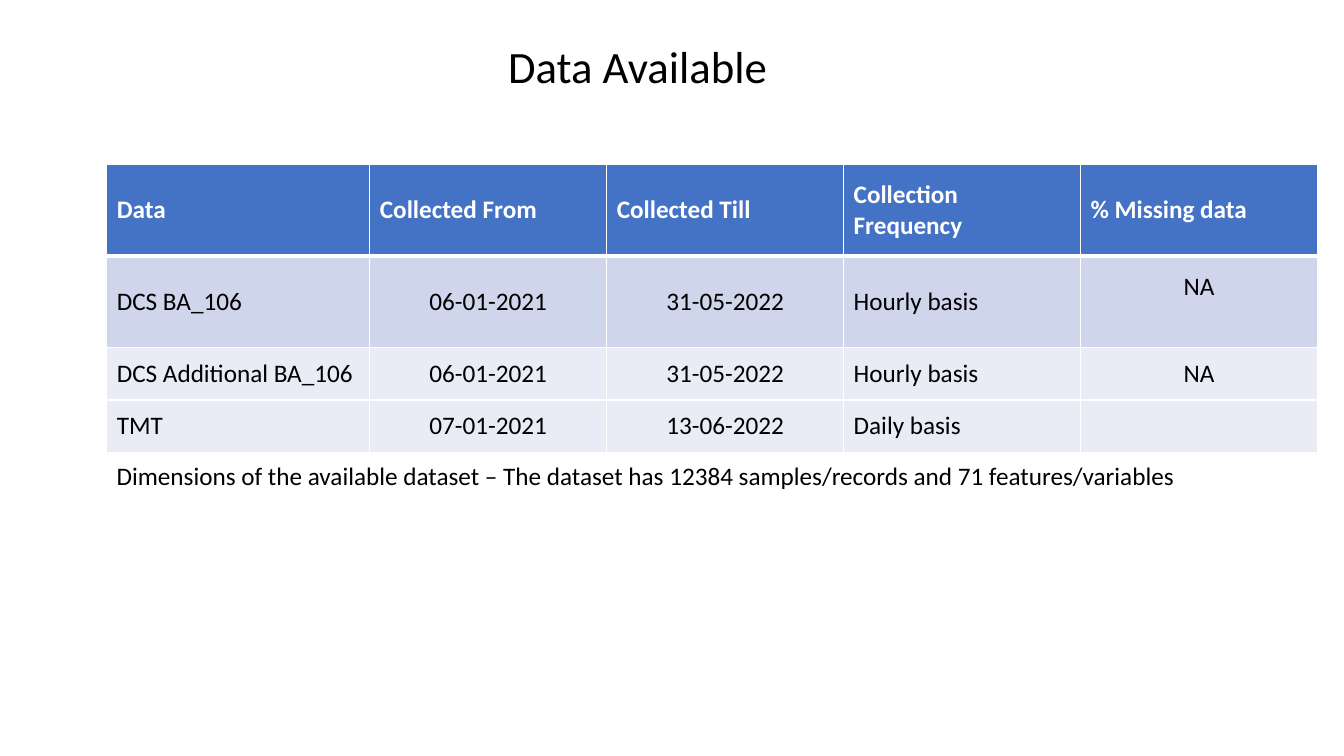
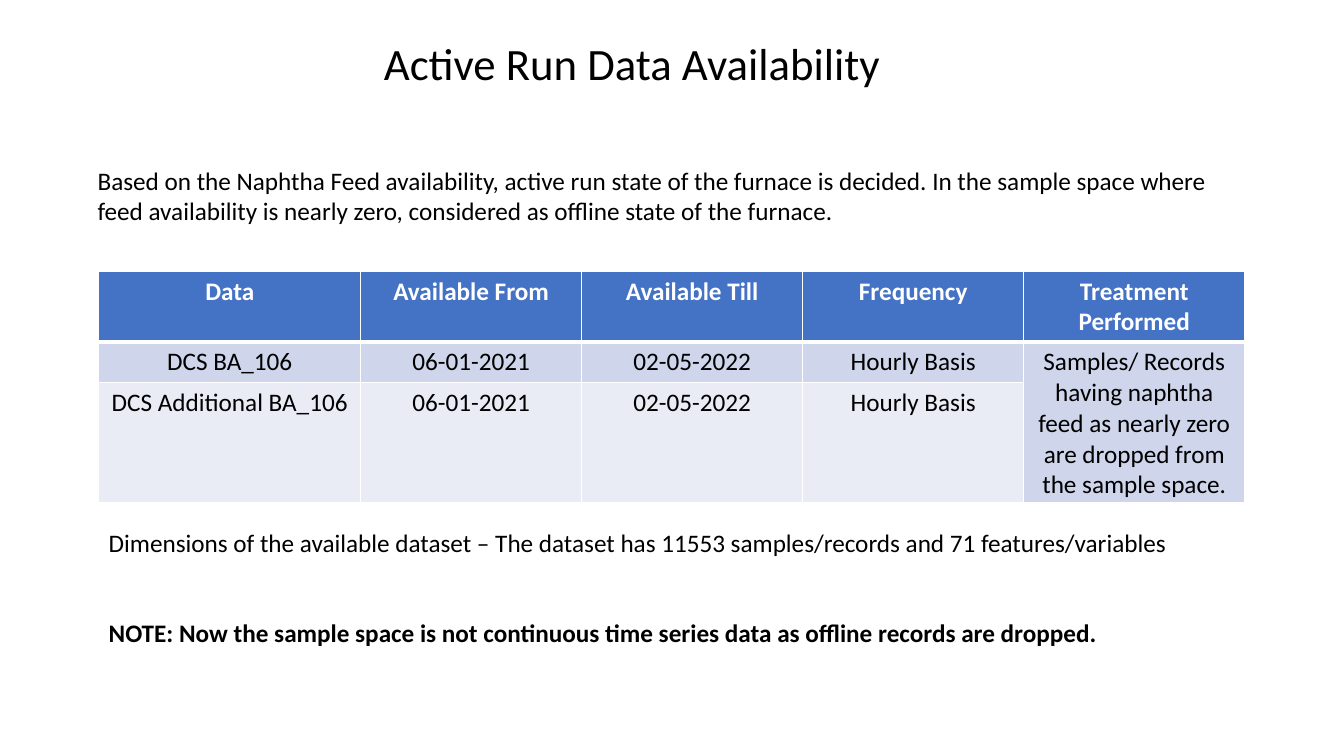
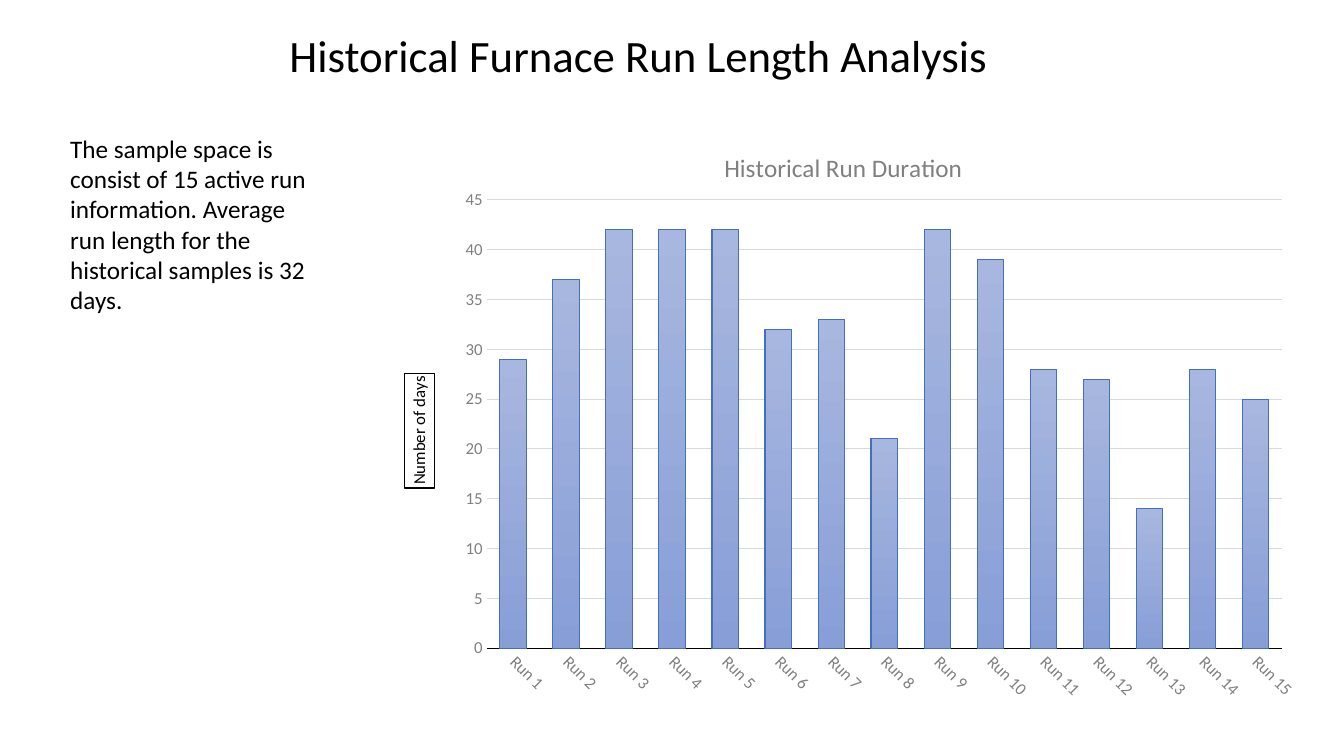
from lxml import etree
from pptx import Presentation
from pptx.chart import data as chart_data
from pptx.dml import color as dml
from pptx.enum import chart as charts, text as texts
from pptx.oxml import ns
from pptx.util import Cm, Pt

COLORS = {"text": "000000", "white": "FFFFFF", "header": "4472C4", "band": "CFD5EA",
          "pale": "E9EBF5", "gray": "808080", "grid": "D9D9D9", "bar_top": "A8B7DF",
          "bar_bottom": "889ED7", "bar_line": "436FC0"}
RGB = {name: dml.RGBColor.from_string(value) for name, value in COLORS.items()}
FONT = "Calibri"
LEFT, CENTER = texts.PP_ALIGN.LEFT, texts.PP_ALIGN.CENTER
TOP, MIDDLE = texts.MSO_ANCHOR.TOP, texts.MSO_ANCHOR.MIDDLE


def write(frame, content, size=18, color="text", bold=False, align=LEFT):
    paragraph = frame.paragraphs[0]
    paragraph.alignment = align
    run = paragraph.add_run()
    run.text = content
    run.font.name = FONT
    run.font.size = Pt(size)
    run.font.bold = bold
    run.font.color.rgb = RGB[color]


def set_layout(parent, index, **settings):
    for old in parent.xpath("c:layout"):
        parent.remove(old)
    layout = etree.Element(ns.qn("c:layout"))
    manual = etree.SubElement(layout, ns.qn("c:manualLayout"))
    for name, value in settings.items():
        etree.SubElement(manual, ns.qn("c:" + name)).set("val", str(value))
    parent.insert(index, layout)


pages = [
    {"title": ("Data Available", 12.55, 0.84, 7.24),
     "notes": [("Dimensions of the available dataset – The dataset has 12384 "
                "samples/records and 71 features/variables",
                2.69, 11.48, 30.45, 1.02, False)],
     "table": {
         "left": 2.69, "top": 4.14, "columns": [6.63] + [5.97] * 4,
         "rows": [2.31, 2.31, 1.32, 1.32], "anchor": MIDDLE,
         "header_align": LEFT, "aligns": [LEFT, CENTER, CENTER, LEFT, CENTER],
         "fills": ["header", "band", "pale", "pale"],
         "cells": [
             ["Data", "Collected From", "Collected Till", "Collection Frequency",
              "% Missing data"],
             ["DCS BA_106", "06-01-2021", "31-05-2022", "Hourly basis", "NA"],
             ["DCS Additional BA_106", "06-01-2021", "31-05-2022", "Hourly basis", "NA"],
             ["TMT", "07-01-2021", "13-06-2022", "Daily basis", ""]]}},
    {"title": ("Active Run Data Availability", 9.42, 0.76, 13.67),
     "notes": [("Based on the Naphtha Feed availability, active run state of the furnace "
                "is decided. In the sample space where feed availability is nearly zero, "
                "considered as offline state of the furnace.",
                2.21, 4.04, 29.64, 1.8, False),
               ("NOTE: Now the sample space is not continuous time series data as "
                "offline records are dropped.", 2.49, 15.42, 28.88, 1.02, True),
               ("Dimensions of the available dataset – The dataset has 11553 "
                "samples/records and 71 features/variables",
                2.49, 13.16, 28.88, 1.02, False)],
     "table": {
         "left": 2.49, "top": 6.83, "columns": [6.6] + [5.57] * 4,
         "rows": [1.78, 1.03, 3.03], "anchor": TOP,
         "header_align": CENTER, "aligns": [CENTER] * 5,
         "fills": ["header", "band", "pale"],
         "cells": [
             ["Data", "Available From", "Available Till", "Frequency",
              "Treatment Performed"],
             ["DCS BA_106", "06-01-2021", "02-05-2022", "Hourly Basis",
              "Samples/ Records having naphtha feed as nearly zero are dropped from "
              "the sample space."],
             ["DCS Additional BA_106", "06-01-2021", "02-05-2022", "Hourly Basis", ""]]}},
    {"title": ("Historical Furnace Run Length Analysis", 7.04, 0.56, 18.77),
     "notes": [("The sample space is consist of 15 active run information. Average run "
                "length for the historical samples is 32 days.",
                1.52, 3.23, 6.91, 4.88, False)]},
]

presentation = Presentation()
presentation.slide_width, presentation.slide_height = Cm(33.87), Cm(19.05)
tables = []

for page in pages:
    slide = presentation.slides.add_slide(presentation.slide_layouts[5])
    content, left, top, width = page["title"]
    title = slide.shapes.title
    title.left, title.top, title.width, title.height = Cm(left), Cm(top), Cm(width), Cm(1.63)
    title.text_frame.auto_size = texts.MSO_AUTO_SIZE.NONE
    title.text_frame.vertical_anchor = TOP
    write(title.text_frame, content, 32)

    for content, left, top, width, height, bold in page["notes"]:
        note = slide.shapes.add_textbox(Cm(left), Cm(top), Cm(width), Cm(height))
        note.text_frame.word_wrap = True
        note.text_frame.auto_size = texts.MSO_AUTO_SIZE.SHAPE_TO_FIT_TEXT
        write(note.text_frame, content, bold=bold)

    if "table" not in page:
        continue
    grid = page["table"]
    table = slide.shapes.add_table(
        len(grid["rows"]), len(grid["columns"]), Cm(grid["left"]), Cm(grid["top"]),
        Cm(sum(grid["columns"])), Cm(sum(grid["rows"]))).table
    tables.append(table)
    for column, width in zip(table.columns, grid["columns"]):
        column.width = Cm(width)
    for row_index, values in enumerate(grid["cells"]):
        table.rows[row_index].height = Cm(grid["rows"][row_index])
        header = row_index == 0
        for column_index, value in enumerate(values):
            cell = table.cell(row_index, column_index)
            cell.vertical_anchor = grid["anchor"]
            cell.fill.solid()
            cell.fill.fore_color.rgb = RGB[grid["fills"][row_index]]
            if value:
                write(cell.text_frame, value, color="white" if header else "text",
                      bold=header,
                      align=grid["header_align"] if header else grid["aligns"][column_index])
            widths = {"L": 1, "R": 1, "T": 3 if row_index == 1 else 1, "B": 3 if header else 1}
            properties = cell._tc.get_or_add_tcPr()
            for position, (side, points) in enumerate(widths.items()):
                border = etree.Element(ns.qn("a:ln" + side), w=str(Pt(points)))
                fill = etree.SubElement(border, ns.qn("a:solidFill"))
                etree.SubElement(fill, ns.qn("a:srgbClr"), val=COLORS["white"])
                properties.insert(position, border)

available, active = tables
available.cell(1, 4).margin_bottom = Cm(0.89)
active.cell(1, 4).merge(active.cell(2, 4))

run_data = chart_data.CategoryChartData()
run_data.categories = [f"Run {number}" for number in range(1, 16)]
run_data.add_series("Series 1", [29, 37, 42, 42, 42, 32, 33, 21, 42, 39, 28, 27, 14, 28, 25])
chart = slide.shapes.add_chart(charts.XL_CHART_TYPE.COLUMN_CLUSTERED, Cm(9.73), Cm(3.23),
                               Cm(23.04), Cm(15.06), run_data).chart
chart.font.name = FONT
chart.font.size = Pt(10)
chart.has_legend = False
chart.has_title = True
write(chart.chart_title.text_frame, "Historical Run Duration", 18, "gray", align=CENTER)
chart.chart_title.include_in_layout = False

plot = chart.plots[0]
plot.gap_width, plot.overlap = 100, -24
plot.vary_by_categories = False
bars = plot.series[0].format
bars.fill.gradient()
bars.fill.gradient_angle = 270
for stop, name in zip(bars.fill.gradient_stops, ["bar_top", "bar_bottom"]):
    stop.color.rgb = RGB[name]
bars.line.color.rgb = RGB["bar_line"]
bars.line.width = Pt(0.75)

for axis in (chart.category_axis, chart.value_axis):
    axis.major_tick_mark = axis.minor_tick_mark = charts.XL_TICK_MARK.NONE
    axis.tick_labels.font.name = FONT
    axis.tick_labels.font.size = Pt(12)
    axis.tick_labels.font.color.rgb = RGB["gray"]
runs, days = chart.category_axis, chart.value_axis
runs.format.line.color.rgb = RGB["text"]
runs.format.line.width = Pt(0.75)
days.format.line.fill.background()
days.minimum_scale, days.maximum_scale, days.major_unit = 0, 45, 5
days.major_gridlines.format.line.color.rgb = RGB["grid"]
days.major_gridlines.format.line.width = Pt(0.75)
days.has_title = True
write(days.axis_title.text_frame, "Number of days", 12, align=CENTER)
days.axis_title.format.line.color.rgb = RGB["text"]
days.axis_title.format.line.width = Pt(0.75)

chart_xml = chart.element
chart_xml.xpath(".//c:catAx/c:txPr/a:bodyPr")[0].set("rot", "2700000")
days_title = chart_xml.xpath(".//c:valAx/c:title")[0]
title_body = days_title.xpath(".//a:bodyPr")[0]
title_body.set("rot", "-5400000")
title_body.set("vert", "horz")
set_layout(days_title, 1, xMode="edge", yMode="edge", x=0.02, y=0.41)
set_layout(chart_xml.xpath(".//c:plotArea")[0], 0, layoutTarget="inner", xMode="edge",
           yMode="edge", x=0.11, y=0.12, w=0.87, h=0.75)

presentation.save("out.pptx")
